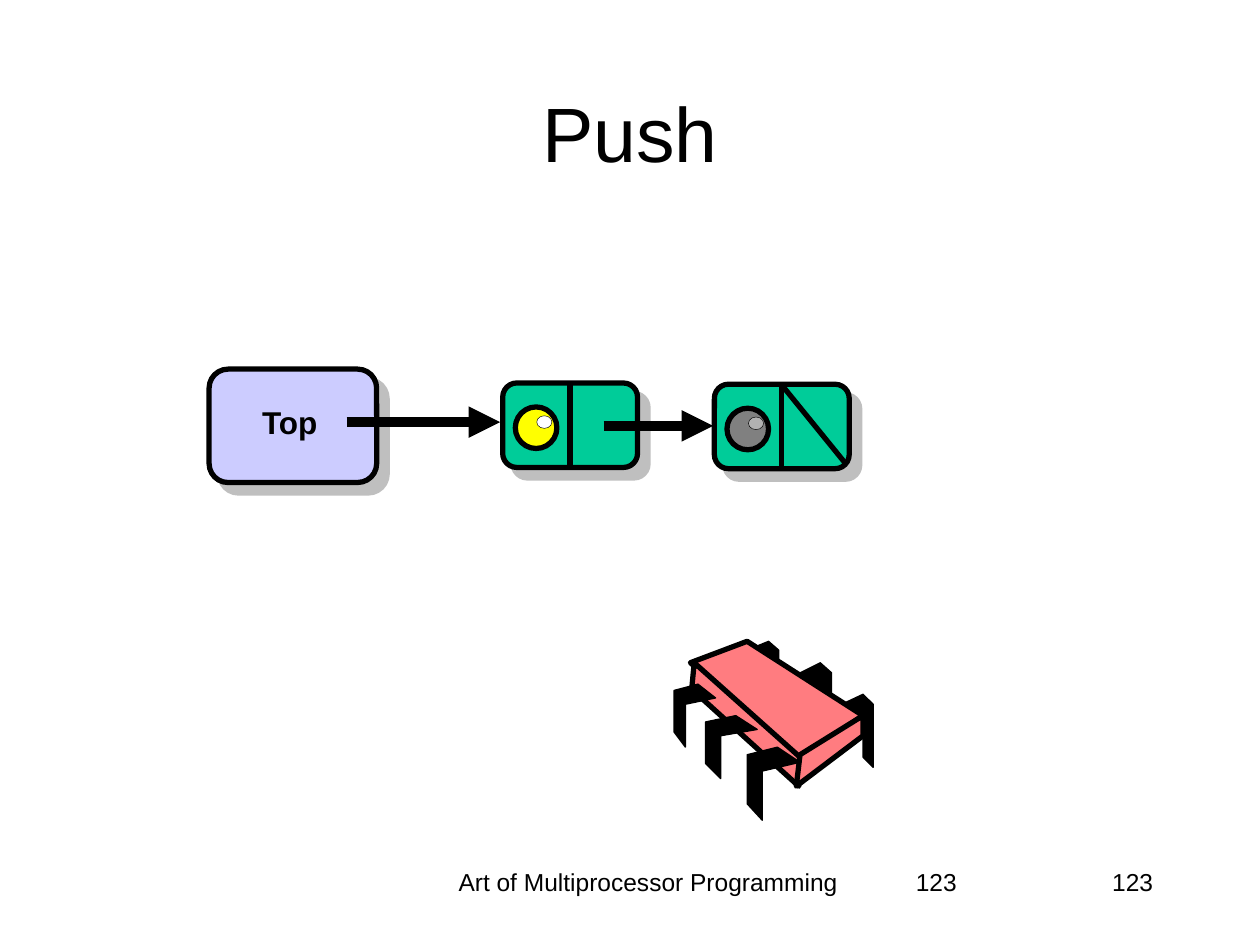
from lxml import etree
from pptx import Presentation, util as u
from pptx.dml.color import RGBColor
from pptx.enum import shapes, text
from pptx.oxml import parse_xml
from pptx.oxml.ns import nsdecls, qn

deck = Presentation()
deck.slide_width, deck.slide_height = u.Inches(10), u.Inches(7.5)
page = deck.slides.add_slide(deck.slide_layouts[5])

# Grid: 1000 columns by 750 rows
unit = deck.slide_width // 1000
BLACK, GREEN, CORAL = "000000", "00CC99", "FF7C80"
SHADOW = (f'<a:outerShdw {nsdecls("a")} dist="{u.Pt(8.5)}" dir="2700000" algn="ctr" rotWithShape="0">'
          '<a:srgbClr val="808080"><a:alpha val="50000"/></a:srgbClr></a:outerShdw>')


def paint(shape, fill, weight, shadow=False):
    shape.shadow.inherit = False
    shape.fill.solid()
    shape.fill.fore_color.rgb = RGBColor.from_string(fill)
    shape.line.color.rgb = RGBColor.from_string(BLACK)
    shape.line.width = u.Pt(weight)
    if shadow:
        effects = shape._element.spPr.find(qn("a:effectLst"))
        effects.append(parse_xml(SHADOW))


def write(box, words, size, align, bold=False):
    box.text_frame.text = words
    para = box.text_frame.paragraphs[0]
    para.alignment = align
    font = para.runs[0].font
    font.name, font.size, font.bold = "Arial", u.Pt(size), bold
    font.color.rgb = RGBColor.from_string(BLACK)


# Title
title = page.shapes.title
title.left, title.top, title.width, title.height = [unit * n for n in (75, 42, 850, 125)]
title.text_frame.vertical_anchor = text.MSO_ANCHOR.MIDDLE
write(title, "Push", 44, text.PP_ALIGN.CENTER)

# Footer and slide numbers
for words, left, width, align in (
    ("Art of Multiprocessor Programming", 342, 345, text.PP_ALIGN.CENTER),
    ("123", 717, 208, text.PP_ALIGN.LEFT),
    ("123", 717, 208, text.PP_ALIGN.RIGHT),
):
    box = page.shapes.add_textbox(unit * left, unit * 683, unit * width, unit * 50)
    box.text_frame.word_wrap = True
    write(box, words, 14, align)

# Top pointer
top = page.shapes.add_shape(shapes.MSO_SHAPE.ROUNDED_RECTANGLE,
                            unit * 166, unit * 293, unit * 133, unit * 90)
paint(top, "CCCCFF", 3, shadow=True)
label = page.shapes.add_textbox(unit * 198, unit * 315, unit * 64, unit * 40)
label.text_frame.word_wrap = False
write(label, "Top", 18, text.PP_ALIGN.CENTER, bold=True)

# List nodes, each with a shiny bead as its value
lines = []
for left, row, bead_fill, shine_fill in (
    (567, 305, "808080", "B2B2B2"),
    (399, 304, "FFFF00", "FFFFFF"),
):
    node = page.shapes.add_shape(shapes.MSO_SHAPE.ROUNDED_RECTANGLE,
                                 unit * left, unit * row, unit * 107, unit * 67)
    paint(node, GREEN, 3, shadow=True)
    bead = page.shapes.add_group_shape()
    for dx, dy, width, height, fill, weight in (
        (10, 19, 33, 33, bead_fill, 3),
        (27, 26, 12, 10, shine_fill, 0.25),
    ):
        disc = bead.shapes.add_shape(shapes.MSO_SHAPE.OVAL, unit * (left + dx), unit * (row + dy),
                                     unit * width, unit * height)
        paint(disc, fill, weight)
    lines.append((left + 53.5, row, left + 53.5, row + 67, 3, False))

# Node dividers, null slash and link arrows
lines += [
    (620, 305, 672, 369, 3, False),
    (275, 335, 397, 335, 6, True),
    (479, 338, 566, 338, 6, True),
]
for x1, y1, x2, y2, weight, arrow in lines:
    ends = [int(unit * n) for n in (x1, y1, x2, y2)]
    link = page.shapes.add_connector(shapes.MSO_CONNECTOR.STRAIGHT, *ends)
    link.line.color.rgb = RGBColor.from_string(BLACK)
    link.line.width = u.Pt(weight)
    if arrow:
        etree.SubElement(link.line._get_or_add_ln(), qn("a:tailEnd"), type="triangle")
    etree.SubElement(link._element.spPr, qn("a:effectLst"))

# Processor chip: far legs, body faces, near legs
chip = page.shapes.add_group_shape()
far_legs = [
    [(668, 559), (685, 551), (693, 559), (693, 609), (685, 601), (685, 568), (668, 576)],
    [(635, 534), (651, 526), (660, 534), (660, 584), (651, 576), (651, 543), (635, 551)],
    [(593, 516), (610, 509), (618, 516), (618, 559), (610, 552), (610, 523), (593, 531)],
]
faces = [
    [(593, 509), (685, 568), (634, 602), (548, 526)],
    [(551, 526), (635, 601), (634, 624), (549, 547)],
    [(685, 568), (685, 584), (632, 624), (635, 599)],
]
near_legs = [
    [(617, 593), (635, 605), (605, 612), (605, 651), (593, 638), (593, 599)],
    [(584, 568), (601, 579), (572, 584), (572, 618), (560, 606), (560, 573)],
    [(554, 543), (568, 554), (544, 559), (544, 593), (535, 581), (535, 548)],
]
for outlines, fill, weight in ((far_legs, BLACK, 0.75), (faces, CORAL, 3), (near_legs, BLACK, 0.75)):
    for start, *rest in outlines:
        pen = chip.shapes.build_freeform(*start, scale=unit)
        pen.add_line_segments(rest, close=True)
        paint(pen.convert_to_shape(), fill, weight)

deck.save("out.pptx")
